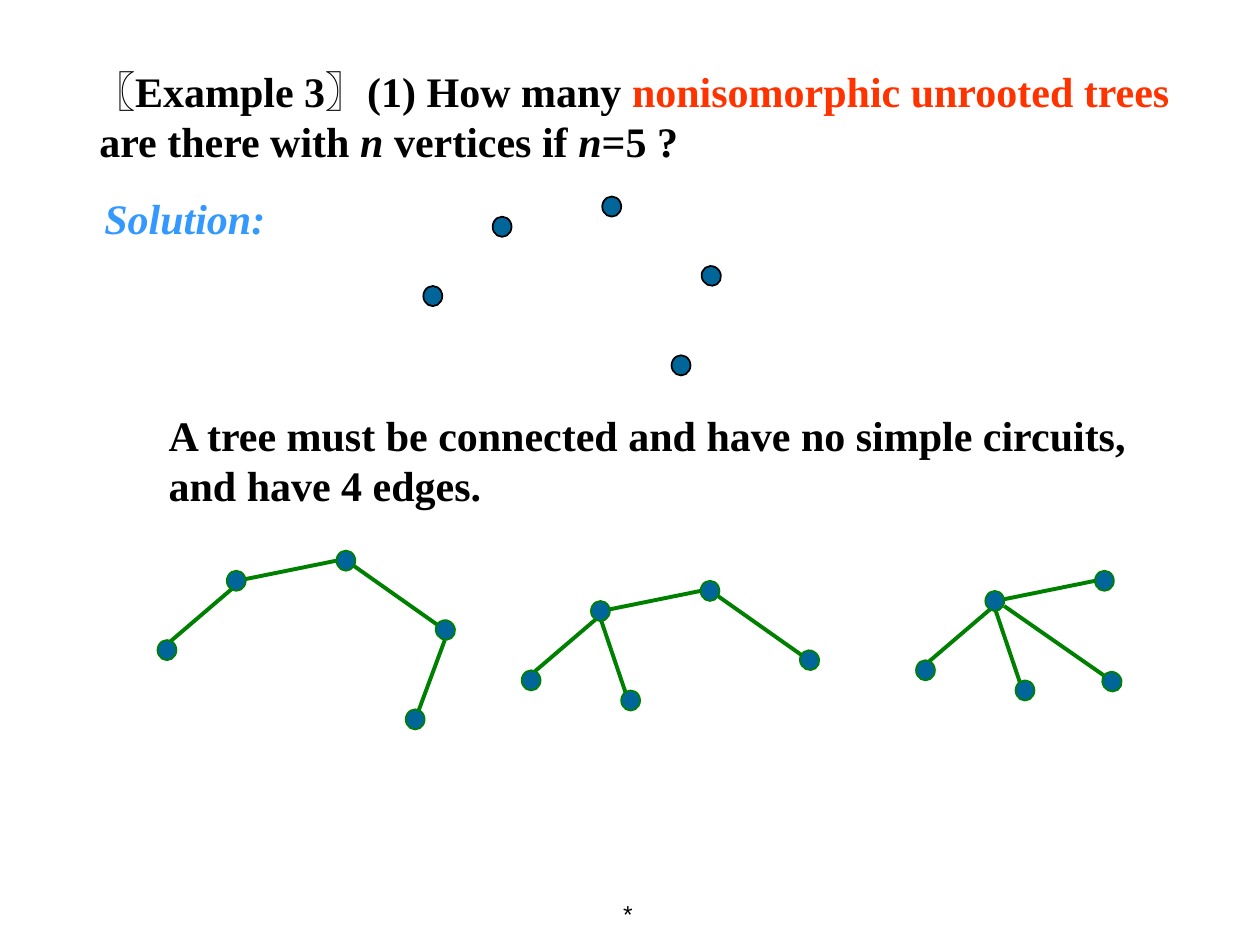
from lxml import etree
from pptx import Presentation
from pptx.dml.color import RGBColor
from pptx.enum.shapes import MSO_CONNECTOR, MSO_SHAPE
from pptx.enum.text import MSO_ANCHOR, PP_ALIGN
from pptx.oxml.ns import qn
from pptx.util import Inches, Pt

OVAL, STRAIGHT = MSO_SHAPE.OVAL, MSO_CONNECTOR.STRAIGHT
MIDDLE, RIGHT = MSO_ANCHOR.MIDDLE, PP_ALIGN.RIGHT
BLACK = RGBColor(0x00, 0x00, 0x00)
RED = RGBColor(0xFF, 0x33, 0x00)
SKY = RGBColor(0x33, 0x99, 0xFF)
GREEN = RGBColor(0x00, 0x80, 0x00)
BLUE = RGBColor(0x00, 0x66, 0x99)
SERIF, SANS = "Times New Roman", "Arial"

QUESTION = [
    ("〖Example 3〗(1) How many ", BLACK, False),
    ("nonisomorphic unrooted trees", RED, False),
    (" are there with ", BLACK, False),
    ("n ", BLACK, True),
    ("vertices if ", BLACK, False),
    ("n", BLACK, True),
    ("=5 ?", BLACK, False),
]
SOLUTION = [("Solution:", SKY, True)]
REMARK = [("A tree must be connected and have no simple circuits, "
           "and have 4 edges.", BLACK, False)]

# fmt: off
VERTEX_W, VERTEX_H, TILT = 0.15, 0.16, 324.8
VERTICES = {"hub": (0, 0), "left": (-0.55, 0.55), "top": (0.87, -0.16),
            "right": (1.66, 0.39), "end": (1.42, 1.1)}
BRANCH = VERTICES | {"end": (0.24, 0.71)}
STAR = BRANCH | {"right": (0.93, 0.64)}

LEFT_EDGE = ("left", (0.08, 0.03), "hub", (0.08, 0.11))
TOP_EDGE = ("hub", (0.08, 0.08), "top", (0, 0.08))
RIGHT_EDGE = ("top", (0.08, 0.08), "right", (0.07, 0.08))
PATH_END = ("right", (0.07, 0.16), "end", (0.08, 0.07))
HUB_END = ("hub", (0.08, 0.15), "end", (0.08, 0.15))
HUB_RIGHT = ("hub", (0.15, 0.12), "right", (0.01, 0.03))

GRAPHS = [
    ((3.91, 1.72), VERTICES, [], BLACK),
    ((1.8, 4.53), VERTICES, [LEFT_EDGE, TOP_EDGE, RIGHT_EDGE, PATH_END], GREEN),
    ((4.69, 4.77), BRANCH, [LEFT_EDGE, TOP_EDGE, RIGHT_EDGE, HUB_END], GREEN),
    ((7.82, 4.69), STAR, [LEFT_EDGE, TOP_EDGE, HUB_END, HUB_RIGHT], GREEN),
]
# fmt: on


def add_text_frame(s, x, y, w, h):
    tf = s.shapes.add_textbox(*map(Inches, (x, y, w, h))).text_frame
    tf.word_wrap = True
    return tf


def write(p, runs, margin, indent=0, before=0):
    pPr = p._p.get_or_add_pPr()
    pPr.set("marL", str(Inches(margin)))
    pPr.set("indent", str(Inches(indent)))
    if before:
        p.space_before = Pt(before)
    for text, color, italic in runs:
        r = p.add_run()
        r.text = text
        r.font.name, r.font.size = SERIF, Pt(24)
        r.font.bold, r.font.italic = True, italic
        r.font.color.rgb = color


def add_graph(s, origin, vertices, edges, color):
    shapes = s.shapes.add_group_shape().shapes
    places = {name: (origin[0] + dx, origin[1] + dy)
              for name, (dx, dy) in vertices.items()}
    for start, start_at, end, end_at in edges:
        ends = [places[name][i] + at[i]
                for name, at in ((start, start_at), (end, end_at)) for i in (0, 1)]
        edge = shapes.add_connector(STRAIGHT, *map(Inches, ends))
        edge.line.color.rgb, edge.line.width = color, Pt(2.25)
        etree.SubElement(edge._element.spPr, qn("a:effectLst"))
    for name, (x, y) in places.items():
        vertex = shapes.add_shape(OVAL, *map(Inches, (x, y, VERTEX_W, VERTEX_H)))
        vertex.shadow.inherit = False
        vertex.fill.solid()
        vertex.fill.fore_color.rgb = BLUE
        vertex.line.color.rgb, vertex.line.width = color, Pt(1)
        if name == "right":
            vertex.rotation = TILT


prs = Presentation()
prs.slide_width, prs.slide_height = Inches(10), Inches(7.5)
s = prs.slides.add_slide(prs.slide_layouts[6])

tf = add_text_frame(s, 0.31, 0.47, 9.22, 1.81)
write(tf.paragraphs[0], QUESTION, 0.38, -0.05)
write(tf.add_paragraph(), SOLUTION, 0.42, before=15)

tf = add_text_frame(s, 0.86, 3.2, 8.74, 1.1)
write(tf.paragraphs[0], REMARK, 0.38)

for graph in GRAPHS:
    add_graph(s, *graph)

tf = add_text_frame(s, 4.45, 7, 0.67, 0.5)
tf.word_wrap = False
tf.vertical_anchor = MIDDLE
p = tf.paragraphs[0]
p.text = "*"
p.alignment = RIGHT
p.runs[0].font.name, p.runs[0].font.size = SANS, Pt(14)
p.runs[0].font.color.rgb = BLACK

prs.save("out.pptx")
